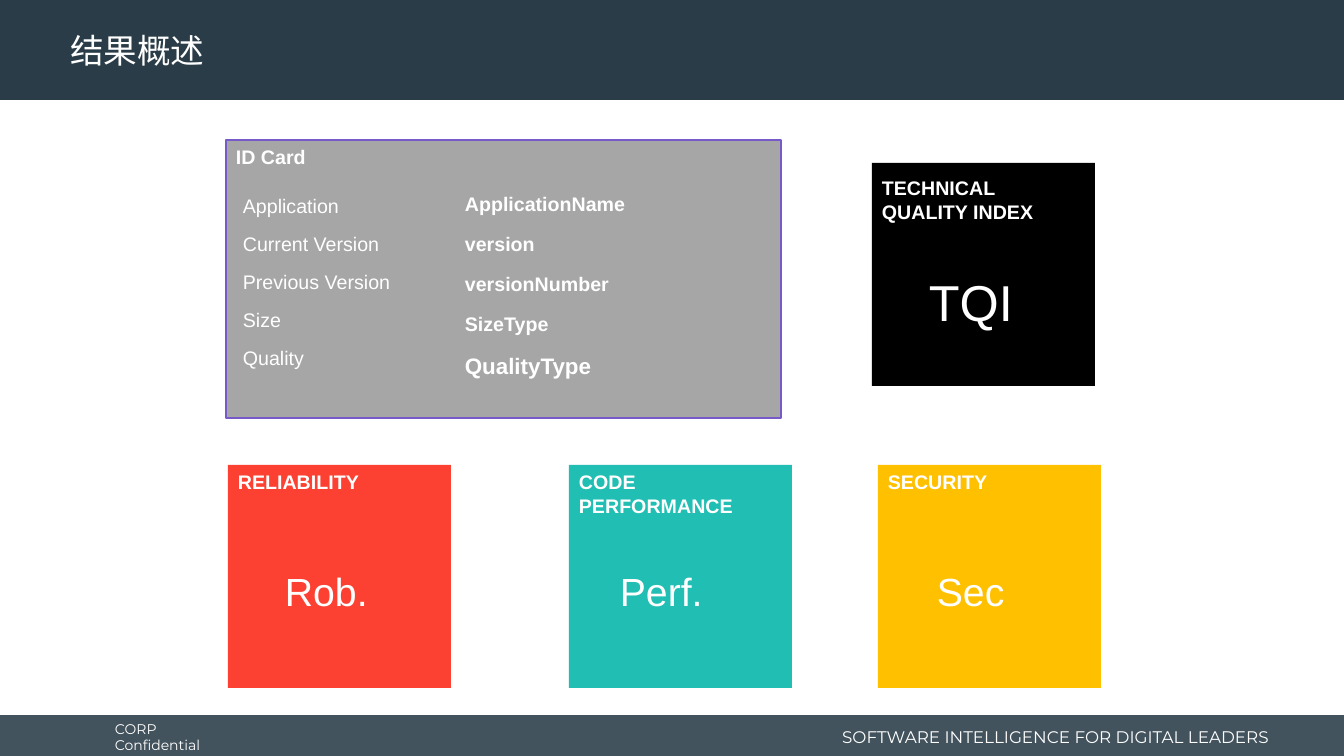
"""Build the results overview slide with an ID card and four quality tiles."""
from dataclasses import dataclass

from pptx import Presentation
from pptx.dml.color import RGBColor
from pptx.enum.shapes import MSO_SHAPE
from pptx.enum.text import MSO_ANCHOR, PP_ALIGN
from pptx.util import Emu, Pt

TITLE = "结果概述"
CONFIDENTIALITY = "CORP Confidential"
TAGLINE = "SOFTWARE INTELLIGENCE FOR DIGITAL LEADERS"
CARD_HEADING = "ID Card"
CARD_ROWS = [
    ("Application", "ApplicationName"),
    ("Current Version", "version"),
    ("Previous Version", "versionNumber"),
    ("Size", "SizeType"),
    ("Quality", "QualityType"),
]


@dataclass(frozen=True)
class Theme:
    header: str = "293C47"
    footer: str = "43535D"
    card: str = "A6A6A6"
    card_border: str = "7859C9"
    red: str = "FC4132"
    teal: str = "20BEB3"
    amber: str = "FFC000"
    black: str = "000000"
    text: str = "FFFFFF"
    body_font: str = "Arial"
    brand_font: str = "Montserrat"
    title_size: int = 24
    label_size: int = 14
    quality_size: int = 16
    score_size: int = 28
    index_size: int = 36
    notice_size: int = 10
    tagline_size: int = 12


THEME = Theme()
WIDTH, HEIGHT = 1344, 756
TILE_SIDE = 223
SCORE_WIDTH = 198
TILES = [
    dict(heading="RELIABILITY", score="Rob.", fill=THEME.red, at=(228, 465),
         heading_dy=0, score_offset=(47, 97), size=THEME.score_size),
    dict(heading="CODE PERFORMANCE", score="Perf.", fill=THEME.teal, at=(569, 465),
         heading_dy=0, score_offset=(41, 97), size=THEME.score_size),
    dict(heading="TECHNICAL QUALITY INDEX", score="TQI", fill=THEME.black, at=(872, 163),
         heading_dy=8, score_offset=(47, 103), size=THEME.index_size),
    dict(heading="SECURITY", score="Sec", fill=THEME.amber, at=(878, 465),
         heading_dy=0, score_offset=(49, 97), size=THEME.score_size),
]
CARD = (226, 140, 555, 278)
ROW_HEIGHT = 34
LABEL_LEFT, LABEL_TOP, LABEL_PITCH = 233, 189, 38
VALUE_LEFT, VALUE_TOP, VALUE_PITCH = 455, 187, 40


def px(length):
    return Emu(round(length * 914400 / 100.8))


def write(shape, text, size=THEME.label_size, font=THEME.body_font, bold=False,
          align=PP_ALIGN.LEFT, anchor=MSO_ANCHOR.TOP, wrap=True, spacing=1.0):
    frame = shape.text_frame
    frame.text = text
    frame.word_wrap = wrap
    frame.vertical_anchor = anchor
    paragraph = frame.paragraphs[0]
    paragraph.alignment = align
    paragraph.line_spacing = spacing
    paragraph.font.size = Pt(size)
    paragraph.font.name = font
    paragraph.font.bold = bold
    paragraph.font.color.rgb = RGBColor.from_string(THEME.text)


def add_text(slide, box, text, **style):
    write(slide.shapes.add_textbox(*map(px, box)), text, **style)


def add_panel(slide, box, fill, border=None):
    panel = slide.shapes.add_shape(MSO_SHAPE.RECTANGLE, *map(px, box))
    panel.shadow.inherit = False
    panel.fill.solid()
    panel.fill.fore_color.rgb = RGBColor.from_string(fill)
    if border:
        panel.line.color.rgb = RGBColor.from_string(border)
        panel.line.width = Pt(1)
    else:
        panel.line.fill.background()


def add_frame(slide):
    add_panel(slide, (0, 715, WIDTH, 44), THEME.footer)
    add_panel(slide, (0, 0, WIDTH, 100), THEME.header)
    add_text(slide, (105, 717, 149, 40), CONFIDENTIALITY, size=THEME.notice_size,
             font=THEME.brand_font, anchor=MSO_ANCHOR.MIDDLE, wrap=False)
    add_text(slide, (817, 721, 462, 32), TAGLINE, size=THEME.tagline_size,
             font=THEME.brand_font, align=PP_ALIGN.RIGHT, anchor=MSO_ANCHOR.MIDDLE)


def add_title(slide):
    title = slide.shapes.title
    title.left, title.top, title.width, title.height = map(px, (60, 4, 966, 97))
    write(title, TITLE, size=THEME.title_size, font=THEME.brand_font,
          anchor=MSO_ANCHOR.MIDDLE, spacing=0.9)
    title.element.getparent().append(title.element)


def add_tile(slide, tile):
    left, top = tile["at"]
    score_dx, score_dy = tile["score_offset"]
    add_panel(slide, (left, top, TILE_SIDE, TILE_SIDE), tile["fill"])
    add_text(slide, (left, top + tile["heading_dy"], TILE_SIDE, ROW_HEIGHT),
             tile["heading"], bold=True)
    add_text(slide, (left + score_dx, top + score_dy, SCORE_WIDTH, 57),
             tile["score"], size=tile["size"])


def add_card(slide):
    left, top, width, _ = CARD
    add_panel(slide, CARD, THEME.card, THEME.card_border)
    add_text(slide, (left, top, 311, ROW_HEIGHT), CARD_HEADING, bold=True)
    for row, (label, value) in enumerate(CARD_ROWS):
        is_quality = row == len(CARD_ROWS) - 1
        add_text(slide, (LABEL_LEFT, LABEL_TOP + row * LABEL_PITCH, 182, ROW_HEIGHT),
                 label, wrap=False)
        add_text(slide, (VALUE_LEFT, VALUE_TOP + row * VALUE_PITCH,
                         left + width - VALUE_LEFT, ROW_HEIGHT), value, bold=True,
                 size=THEME.quality_size if is_quality else THEME.label_size)


def main():
    deck = Presentation()
    deck.slide_width, deck.slide_height = px(WIDTH), px(HEIGHT)
    slide = deck.slides.add_slide(deck.slide_layouts[5])
    add_frame(slide)
    for tile in TILES:
        add_tile(slide, tile)
    add_card(slide)
    add_title(slide)
    deck.save("out.pptx")


if __name__ == "__main__":
    main()
